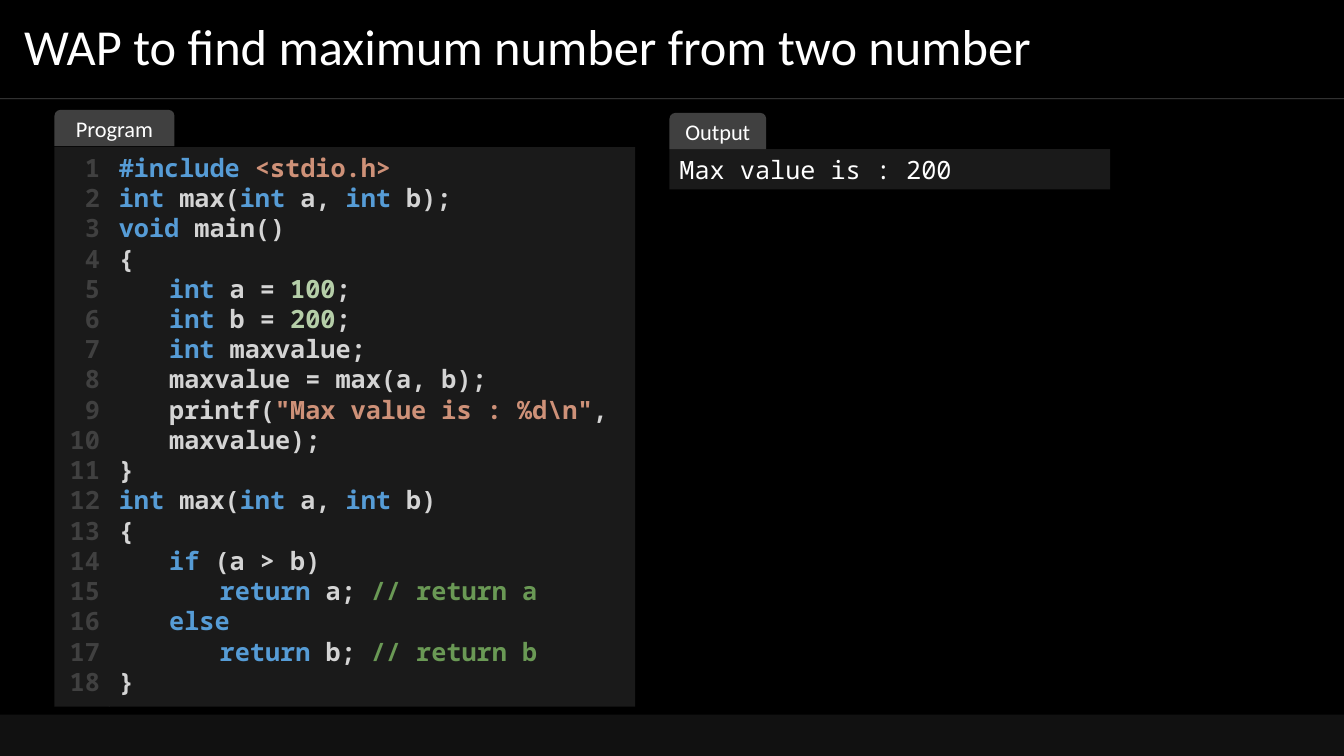
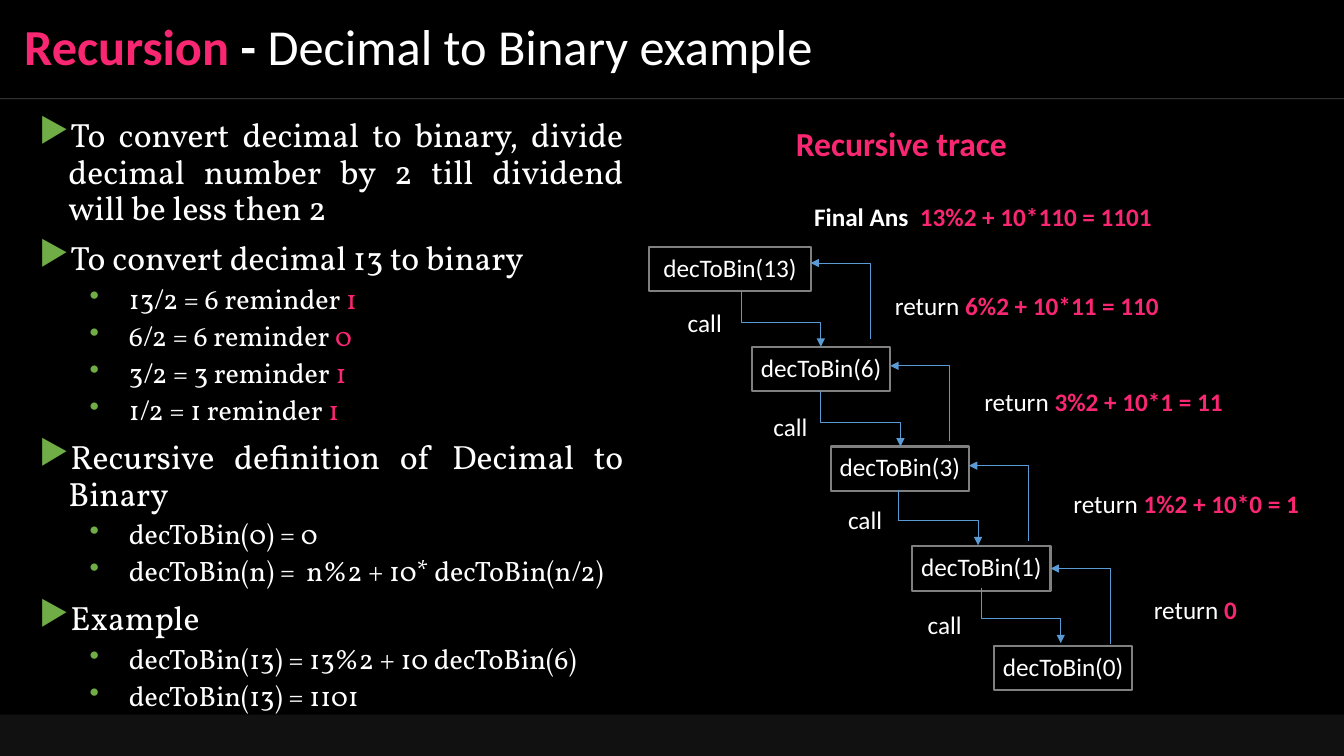
from lxml.etree import SubElement
from pptx import Presentation
from pptx.dml.color import RGBColor
from pptx.enum.shapes import MSO_CONNECTOR as LINE, MSO_SHAPE as SHAPE
from pptx.enum.text import MSO_ANCHOR as ANCHOR, PP_ALIGN as ALIGN
from pptx.oxml.ns import qn
from pptx.util import Inches, Pt

rgb = RGBColor.from_string

WHITE, BLACK, PINK = "FFFFFF", "000000", "F92672"
FOOTER, PANEL, TAB = "111111", "1A1A1A", "404040"
BORDER, ARROW, BULLET = "808080", "5B9BD5", "70AD47"
PLAIN, KEYWORD, STRING, NUMBER, COMMENT = "D4D4D4", "569CD6", "CE9178", "B5CEA8", "6A9955"
SANS, MONO, SERIF = "Calibri", "Noto Sans Mono", "Vollkorn"


def add_box(slide, at, kind=None, fill=None, line=None, anchor=ANCHOR.TOP, inset=(0.1, 0.05)):
    """Add a preset shape, or a text box if kind is None, and return its text frame."""
    place = [Inches(length) for length in at]
    if kind is None:
        box = slide.shapes.add_textbox(*place)
    else:
        box = slide.shapes.add_shape(kind, *place)
        box.shadow.inherit = False
        box.fill.solid()
        box.fill.fore_color.rgb = rgb(fill)
        if line:
            box.line.color.rgb = rgb(line)
            box.line.width = Pt(1.5)
        else:
            box.line.fill.background()
    frame = box.text_frame
    frame.word_wrap = True
    frame.vertical_anchor = anchor
    frame.margin_left = frame.margin_right = Inches(inset[0])
    frame.margin_top = frame.margin_bottom = Inches(inset[1])
    return frame


def write(frame, *spans, font=SANS, size=18, color=WHITE, bold=False,
          align=ALIGN.LEFT, spacing=None, before=None, level=0, indent=None):
    """Add a paragraph; a span is a text or a tuple of text, colour and, if it differs, bold."""
    para = frame.add_paragraph() if frame.text else frame.paragraphs[0]
    para.alignment = align
    para.level = level
    if spacing:
        para.line_spacing = spacing
    if before:
        para.space_before = Pt(before)
    if indent:
        margin, first_line = indent
        properties = para._p.get_or_add_pPr()
        properties.set("marL", str(Inches(margin)))
        properties.set("indent", str(Inches(first_line)))
    for span in spans:
        parts = (span,) if isinstance(span, str) else span
        text, span_color, span_bold = (*parts, color, bold)[:3] if len(parts) != 2 else (*parts, bold)
        run = para.add_run()
        run.text = text
        run.font.name = font
        run.font.size = Pt(size)
        run.font.bold = span_bold
        run.font.color.rgb = rgb(span_color)
    return para


deck = Presentation()
deck.slide_width, deck.slide_height = Inches(13.33), Inches(7.5)

titles = [
    ["WAP to find maximum number from two number"],
    [("Recursion ", PINK, True), ("- ", WHITE, True), "Decimal to Binary example"],
]
slides = []
for title in titles:
    slide = deck.slides.add_slide(deck.slide_layouts[6])
    slide.background.fill.solid()
    slide.background.fill.fore_color.rgb = rgb(BLACK)
    divider = slide.shapes.add_connector(LINE.STRAIGHT, 0, Inches(0.98), deck.slide_width, Inches(0.98))
    divider.line.color.rgb = rgb(WHITE)
    divider.line.width = Pt(0.5)
    white = divider.line._ln.find(".//" + qn("a:srgbClr"))
    SubElement(white, qn("a:alpha"), val="30000")
    SubElement(divider._element.spPr, qn("a:effectLst"))
    add_box(slide, (0, 7.09, 13.33, 0.41), SHAPE.RECTANGLE, FOOTER)
    frame = add_box(slide, (0, 0, 13.33, 0.98), anchor=ANCHOR.MIDDLE, inset=(0.24, 0.12))
    write(frame, *title, size=36, spacing=0.9)
    slides.append(slide)
program_slide, recursion_slide = slides

# Program and its output
INT = ("int", KEYWORD)
signature = [INT, " max(", INT, " a, ", INT]
code = [
    (0, [("#include ", KEYWORD), ("<stdio.h>", STRING)]),
    (0, [*signature, " b);"]),
    (0, [("void", KEYWORD), " main()"]),
    (0, ["{"]),
    (1, [INT, " a = ", ("100", NUMBER), ";"]),
    (1, [INT, " b = ", ("200", NUMBER), ";"]),
    (1, [INT, " maxvalue;"]),
    (1, ["maxvalue = max(a, b);"]),
    (1, ["printf(", ('"Max value is : %d\\n"', STRING), ", maxvalue);"]),
    (0, ["}"]),
    (0, [*signature, " b)"]),
    (0, ["{"]),
    (1, [("if", KEYWORD), " (a > b)"]),
    (1, [("\treturn", KEYWORD), " a; ", ("// return a", COMMENT)]),
    (1, [("else", KEYWORD)]),
    (1, [("\treturn", KEYWORD), " b; ", ("// return b", COMMENT)]),
    (0, ["}"]),
]
listing = add_box(program_slide, (1.08, 1.46, 5.22, 5.55), SHAPE.RECTANGLE, PANEL)
for level, spans in code:
    write(listing, *spans, font=MONO, color=PLAIN, bold=True, level=level, indent=(0.5 * level, 0))

gutter = add_box(program_slide, (0.54, 1.46, 0.55, 5.55), SHAPE.RECTANGLE, PANEL)
for number in range(1, 19):
    write(gutter, str(number), font=MONO, color=TAB, bold=True, align=ALIGN.RIGHT)

output = add_box(program_slide, (6.64, 1.48, 4.37, 0.4), SHAPE.RECTANGLE, PANEL)
write(output, "Max value is : 200", font=MONO)

for label, left, top, width in [("Program", 0.54, 1.09, 1.19), ("Output", 6.64, 1.12, 0.96)]:
    tab = add_box(program_slide, (left, top, width, 0.36), SHAPE.ROUND_2_SAME_RECTANGLE, TAB,
                  anchor=ANCHOR.MIDDLE, inset=(0.1, 0))
    write(tab, label, size=16, align=ALIGN.CENTER)

# Explanation of the recursion
points = [
    (0, ["To convert decimal to binary, divide decimal number by 2 till dividend will be less then 2"]),
    (0, ["To convert decimal 13 to binary"]),
    (1, ["13/2 = 6 reminder ", ("1", PINK)]),
    (1, ["6/2 = 6 reminder ", ("0", PINK)]),
    (1, ["3/2 = 3 reminder ", ("1", PINK)]),
    (1, ["1/2 = 1 reminder ", ("1", PINK)]),
    (0, ["Recursive definition of Decimal to Binary "]),
    (1, ["decToBin(0) = 0"]),
    (1, ["decToBin(n) =  n%2 + 10* decToBin(n/2)"]),
    (0, ["Example"]),
    (1, ["decToBin(13) = 13%2 + 10 decToBin(6)"]),
    (1, ["decToBin(13) = 1101"]),
]
# Per level: size, space before, indent, bullet
point_styles = [(24, 10, (0.29, -0.29), "▶"), (20, 5, (0.89, -0.39), "•")]
body = add_box(recursion_slide, (0.29, 1.13, 5.99, 5.88))
for level, spans in points:
    size, before, indent, bullet = point_styles[level]
    para = write(body, *spans, font=SERIF, size=size, align=ALIGN.JUSTIFY, spacing=0.9,
                 before=before, level=level, indent=indent)
    properties = para._p.get_or_add_pPr()
    SubElement(SubElement(properties, qn("a:buClr")), qn("a:srgbClr"), val=BULLET)
    SubElement(properties, qn("a:buChar"), char=bullet)

# Recursive trace: argument, left and width of each call
calls = [(13, 6.44, 1.6), (6, 7.46, 1.37), (3, 8.24, 1.37), (1, 9.05, 1.37), (0, 9.86, 1.37)]
for row, (argument, left, width) in enumerate(calls):
    call_box = add_box(recursion_slide, (left, 2.45 + 0.99 * row, width, 0.44), SHAPE.RECTANGLE,
                       BLACK, BORDER, ANCHOR.MIDDLE, (0.02, 0.02))
    write(call_box, f"decToBin({argument})", align=ALIGN.CENTER, spacing=0.9)

# Arrows: left, top, width, height, flip, bend in 1/100000 of the way
call_starts = [(7.35, 2.89), (8.14, 3.88), (8.91, 4.86), (9.73, 5.83)]
return_ends = [(8.04, 2.61), (8.83, 3.63), (9.61, 4.62), (10.42, 5.64)]
arrows = [(x, y, 0.79, 0.55, "flipH", 55600) for x, y in call_starts]
arrows += [(x, y, 0.59, 0.75, "flipV", 100000) for x, y in return_ends]
for left, top, width, height, flip, bend in arrows:
    # A quarter turn about the centre makes the elbow leave vertically
    x, y = left + (width - height) / 2, top + (height - width) / 2
    arrow = recursion_slide.shapes.add_connector(
        LINE.ELBOW, Inches(x), Inches(y), Inches(x + height), Inches(y + width))
    arrow.line.color.rgb = rgb(ARROW)
    arrow.line.width = Pt(0.5)
    SubElement(arrow.line._ln, qn("a:tailEnd"), type="triangle")
    properties = arrow._element.spPr
    SubElement(properties, qn("a:effectLst"))
    turn = properties.find(qn("a:xfrm"))
    turn.set("rot", "16200000")
    turn.set(flip, "1")
    guides = properties.find(".//" + qn("a:avLst"))
    SubElement(guides, qn("a:gd"), name="adj1", fmla=f"val {bend}")

labels = [(x, y, 0.64, ["call"]) for x, y in [(6.67, 3), (7.52, 4.03), (8.26, 4.95), (9.05, 6)]]
labels += [(x, y, width, ["return ", (result, PINK, True)]) for x, y, width, result in [
    (11.23, 5.85, 1.25, "0"),
    (10.42, 4.8, 2.69, "1%2 + 10*0 = 1"),
    (9.6, 3.78, 2.69, "3%2 + 10*1 = 11"),
    (8.76, 2.83, 2.85, "6%2 + 10*11 = 110"),
]]
labels.append((7.89, 1.95, 3.72, [("Final Ans  ", WHITE, True), ("13%2 + 10*110 = 1101", PINK, True)]))
for left, top, width, spans in labels:
    write(add_box(recursion_slide, (left, top, width, 0.4)), *spans, align=ALIGN.CENTER)

heading = add_box(recursion_slide, (7.22, 1.17, 3.44, 0.5))
write(heading, "Recursive trace", size=24, color=PINK, bold=True, align=ALIGN.CENTER)

deck.save("out.pptx")
